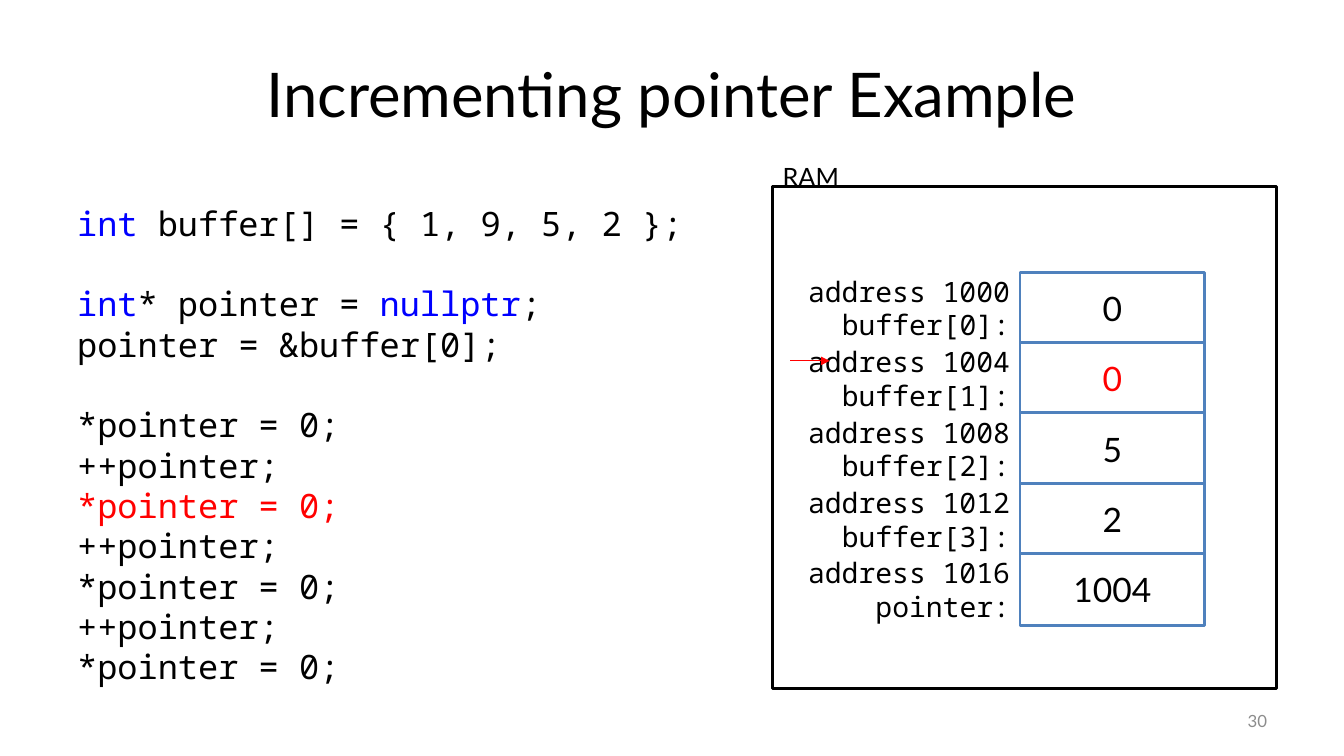
from lxml.etree import SubElement
from pptx import Presentation
from pptx.dml.color import RGBColor
from pptx.enum.shapes import MSO_CONNECTOR as Connector, MSO_SHAPE as Shape
from pptx.enum.text import MSO_ANCHOR as Anchor, MSO_AUTO_SIZE as AutoSize, PP_ALIGN as Align
from pptx.oxml.ns import qn
from pptx.util import Inches, Pt

COLUMNS, ROWS = 40, 150
BODY_FONT, CODE_FONT = "Lato", "Noto Sans Mono"
BLACK, WHITE, GRAY = "000000", "FFFFFF", "8C8C8C"
RED, KEYWORD, CELL_EDGE = "FF0000", "0000FF", "4F81BD"
CODE_LINE = 28.8

# Each block is a list of lines; a line is a list of (text, color) spans.
CODE_BLOCKS = [
    [[("int", KEYWORD), (" buffer[] = { 1, 9, 5, 2 };", BLACK)]],
    [
        [("int", KEYWORD), ("* pointer = ", BLACK), ("nullptr", KEYWORD), (";", BLACK)],
        [("pointer = &buffer[0];", BLACK)],
    ],
    [
        [("*pointer = 0;", BLACK)],
        [("++pointer;", BLACK)],
        [("*pointer = 0;", RED)],
        [("++pointer;", BLACK)],
        [("*pointer = 0;", BLACK)],
        [("++pointer;", BLACK)],
        [("*pointer = 0;", BLACK)],
    ],
]
MEMORY = [
    ("buffer[0]:", "0", BLACK),
    ("buffer[1]:", "0", RED),
    ("buffer[2]:", "5", BLACK),
    ("buffer[3]:", "2", BLACK),
    ("pointer:", "1004", BLACK),
]
FIRST_ADDRESS, ADDRESS_STEP = 1000, 4
CELL_LEFT, CELL_WIDTH, CELL_HEIGHT = 30.36, 5.49, 14.2
CELL_TOP, CELL_PITCH = 54, 13.96
LABEL_LEFT, LABEL_HEIGHT = 22, 15.4


def rgb(color):
    return RGBColor.from_string(color)


def write(para, text, size=18, font=BODY_FONT, color=BLACK, align=Align.LEFT):
    """Append one formatted span to a paragraph."""
    para.alignment = align
    span = para.add_run()
    span.text = text
    span.font.size = Pt(size)
    span.font.name = font
    span.font.color.rgb = rgb(color)


class SlideBuilder:
    """Places styled elements on a grid of COLUMNS by ROWS."""

    def __init__(self, deck):
        self.column = deck.slide_width / COLUMNS
        self.row = deck.slide_height / ROWS
        self.page = deck.slides.add_slide(deck.slide_layouts[5])

    def area(self, left, top, width, height):
        return (round(left * self.column), round(top * self.row),
                round(width * self.column), round(height * self.row))

    def title(self, text, *place):
        box = self.page.shapes.title
        box.left, box.top, box.width, box.height = self.area(*place)
        box.text_frame.vertical_anchor = Anchor.MIDDLE
        write(box.text_frame.paragraphs[0], text, size=44, align=Align.CENTER)

    def text_frame(self, *place, anchor=Anchor.TOP, auto_size=AutoSize.SHAPE_TO_FIT_TEXT):
        frame = self.page.shapes.add_textbox(*self.area(*place)).text_frame
        frame.word_wrap = True
        frame.auto_size = auto_size
        frame.vertical_anchor = anchor
        return frame

    def rectangle(self, *place, edge=BLACK):
        box = self.page.shapes.add_shape(Shape.RECTANGLE, *self.area(*place))
        box.shadow.inherit = False
        box.fill.solid()
        box.fill.fore_color.rgb = rgb(WHITE)
        box.line.color.rgb = rgb(edge)
        box.line.width = Pt(2)
        return box

    def cell(self, value, color, *place):
        frame = self.rectangle(*place, edge=CELL_EDGE).text_frame
        frame.vertical_anchor = Anchor.MIDDLE
        write(frame.paragraphs[0], value, size=24, color=color, align=Align.CENTER)

    def address_label(self, address, name, *place):
        frame = self.text_frame(*place, anchor=Anchor.MIDDLE)
        name_para = frame.add_paragraph()
        name_para.level = 1
        for para, text in ((frame.paragraphs[0], f"address {address}"), (name_para, name)):
            write(para, text, size=20, font=CODE_FONT, align=Align.RIGHT)

    def code(self, blocks, *place):
        """Write code lines, with one line of space between blocks."""
        frame = self.text_frame(*place)
        para = frame.paragraphs[0]
        for block_index, block in enumerate(blocks):
            for line_index, line in enumerate(block):
                if block_index or line_index:
                    para = frame.add_paragraph()
                if block_index and not line_index:
                    para.space_before = Pt(CODE_LINE)
                for text, color in line:
                    write(para, text, size=24, font=CODE_FONT, color=color)

    def arrow(self, left, right, row):
        y = round(row * self.row)
        line = self.page.shapes.add_connector(
            Connector.STRAIGHT, round(left * self.column), y, round(right * self.column), y)
        line.line.color.rgb = rgb(RED)
        line.line.width = Pt(0.75)
        SubElement(line.line._get_or_add_ln(), qn("a:tailEnd"), type="triangle")
        SubElement(line._element.spPr, qn("a:effectLst"))


def main():
    deck = Presentation()
    deck.slide_width, deck.slide_height = Inches(13.33), Inches(7.5)
    builder = SlideBuilder(deck)

    builder.title("Incrementing pointer Example", 2, 6, 36, 25)
    number = builder.text_frame(28.68, 139, 9.33, 8, anchor=Anchor.MIDDLE,
                                auto_size=AutoSize.NONE)
    write(number.paragraphs[0], "30", size=12, color=GRAY, align=Align.RIGHT)

    builder.rectangle(23, 37, 15, 99.6)
    write(builder.text_frame(23, 31, 5.58, 8).paragraphs[0], "RAM")
    for index, (name, value, color) in enumerate(MEMORY):
        top = CELL_TOP + index * CELL_PITCH
        builder.cell(value, color, CELL_LEFT, top, CELL_WIDTH, CELL_HEIGHT)
        builder.address_label(FIRST_ADDRESS + index * ADDRESS_STEP, name, LABEL_LEFT,
                              top - (LABEL_HEIGHT - CELL_HEIGHT) / 2,
                              CELL_LEFT - LABEL_LEFT, LABEL_HEIGHT)

    builder.code(CODE_BLOCKS, 2, 39.2, 20, 99)
    builder.arrow(23.52, 24.69, 71.6)
    deck.save("out.pptx")


if __name__ == "__main__":
    main()
